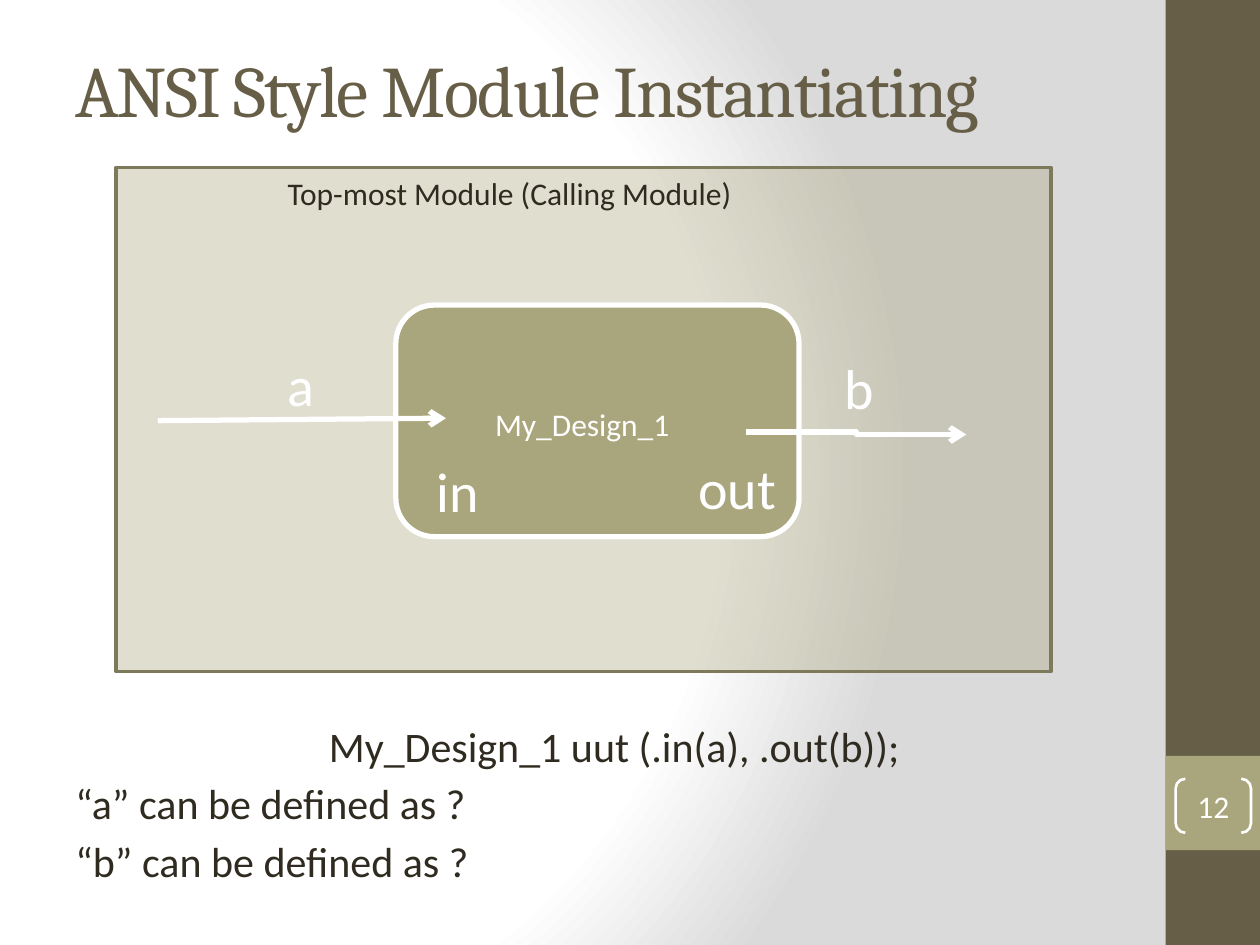
from lxml.etree import SubElement
from pptx import Presentation
from pptx.dml.color import RGBColor
from pptx.enum.shapes import MSO_CONNECTOR, MSO_SHAPE
from pptx.enum.text import MSO_ANCHOR, PP_ALIGN
from pptx.oxml import parse_xml
from pptx.oxml.ns import nsdecls, qn
from pptx.util import Cm, Pt

COLORS = {
    "brown": "675E47", "olive": "A9A57C", "olive_edge": "7D7A5C",
    "ink": "2F2B20", "white": "FFFFFF", "gray": "DADADA",
}

presentation = Presentation()
presentation.slide_width, presentation.slide_height = Cm(25.4), Cm(19.05)
slide = presentation.slides.add_slide(presentation.slide_layouts[6])


def add_box(kind, box, fill=None, line=None, width=0):
    """Add a preset shape with an optional fill and outline."""
    shape = slide.shapes.add_shape(kind, *map(Cm, box))
    shape.shadow.inherit = False
    if fill:
        shape.fill.solid()
        shape.fill.fore_color.rgb = RGBColor.from_string(COLORS[fill])
    else:
        shape.fill.background()
    if line:
        shape.line.color.rgb = RGBColor.from_string(COLORS[line])
        shape.line.width = Pt(width)
    else:
        shape.line.fill.background()
    return shape


def write(shape, text, size, color, align=PP_ALIGN.CENTER, anchor=MSO_ANCHOR.TOP, font="Calibri"):
    """Put formatted text into a shape, one paragraph per line."""
    frame = shape.text_frame
    frame.word_wrap = True
    frame.vertical_anchor = anchor
    frame.text = text
    for paragraph in frame.paragraphs:
        paragraph.alignment = align
        for run in paragraph.runs:
            run.font.size = Pt(size)
            run.font.name = font
            run.font.color.rgb = RGBColor.from_string(COLORS[color])
    return frame


# Background gradient
slide.background.fill.solid()
background = slide.element.find(".//" + qn("p:bgPr"))
stops = "".join(
    f'<a:gs pos="{position * 1000}"><a:srgbClr val="{COLORS[color]}"/></a:gs>'
    for position, color in [(0, "white"), (75, "white"), (100, "gray")]
)
background.replace(background[0], parse_xml(
    f'<a:gradFill {nsdecls("a")} rotWithShape="1"><a:gsLst>{stops}</a:gsLst><a:path path="circle">'
    '<a:fillToRect l="20000" t="50000" r="100000" b="50000"/></a:path></a:gradFill>'
))

# Sidebar
add_box(MSO_SHAPE.RECTANGLE, (23.5, 0, 1.9, 19.05), "brown")
add_box(MSO_SHAPE.RECTANGLE, (23.5, 15.24, 1.9, 1.9), "olive")

# Title and body
title = slide.shapes.add_textbox(Cm(1.27), Cm(0.2), Cm(21.16), Cm(3.18))
frame = write(title, "ANSI Style Module Instantiating", 41.4, "brown",
              PP_ALIGN.LEFT, MSO_ANCHOR.MIDDLE, "Cambria")
frame.paragraphs[0].runs[0].font._element.set("spc", "-100")

body = slide.shapes.add_textbox(Cm(1.27), Cm(14.4), Cm(22.23), Cm(4.24))
frame = write(body, "My_Design_1 uut (.in(a), .out(b));\n“a” can be defined as ?\n“b” can be defined as ?",
              24, "ink", PP_ALIGN.LEFT)
frame.paragraphs[0].alignment = PP_ALIGN.CENTER
for paragraph in frame.paragraphs:
    paragraph.space_before = Pt(4)

# Module diagram
top_module = add_box(MSO_SHAPE.RECTANGLE, (2.34, 3.38, 18.85, 10.16), "olive", "olive_edge", 2)
fill_color = top_module.element.spPr.find(qn("a:solidFill"))[0]
SubElement(fill_color, qn("a:alpha"), val="36000")
add_box(MSO_SHAPE.ROUNDED_RECTANGLE, (7.98, 6.15, 8.13, 4.67), "olive", "white", 3)
design_name = add_box(MSO_SHAPE.RECTANGLE, (9.73, 8.05, 4.88, 1.02), "olive")
write(design_name, "My_Design_1", 18, "white", PP_ALIGN.LEFT)

for kind, ends in [
    (MSO_CONNECTOR.STRAIGHT, (3.18, 8.48, 8.99, 8.43)),
    (MSO_CONNECTOR.ELBOW, (15.04, 8.71, 19.48, 8.76)),
]:
    connector = slide.shapes.add_connector(kind, *map(Cm, ends))
    connector.line.color.rgb = RGBColor.from_string(COLORS["white"])
    connector.line.width = Pt(3)
    SubElement(connector.line._get_or_add_ln(), qn("a:tailEnd"), type="arrow")
    SubElement(connector._element.spPr, qn("a:effectLst"))

for text, box, size, color in [
    ("Top-most Module (Calling Module)", (5.51, 3.38, 9.53, 1.02), 18, "ink"),
    ("a", (4.85, 6.95, 2.44, 1.63), 32, "white"),
    ("b", (16.1, 7.01, 2.44, 1.63), 32, "white"),
    ("in", (8, 9.07, 2.44, 1.63), 32, "white"),
    ("out", (13.64, 9.02, 2.44, 1.63), 32, "white"),
]:
    write(slide.shapes.add_textbox(*map(Cm, box)), text, size, color)

# Slide number
number = add_box(MSO_SHAPE.DOUBLE_BRACKET, (23.7, 15.7, 1.52, 1.09), None, "white", 1.5)
number.adjustments[0] = 0.18
frame = write(number, "12", 18, "white", anchor=MSO_ANCHOR.MIDDLE)
frame.margin_left = frame.margin_right = frame.margin_top = frame.margin_bottom = 0

presentation.save("out.pptx")
